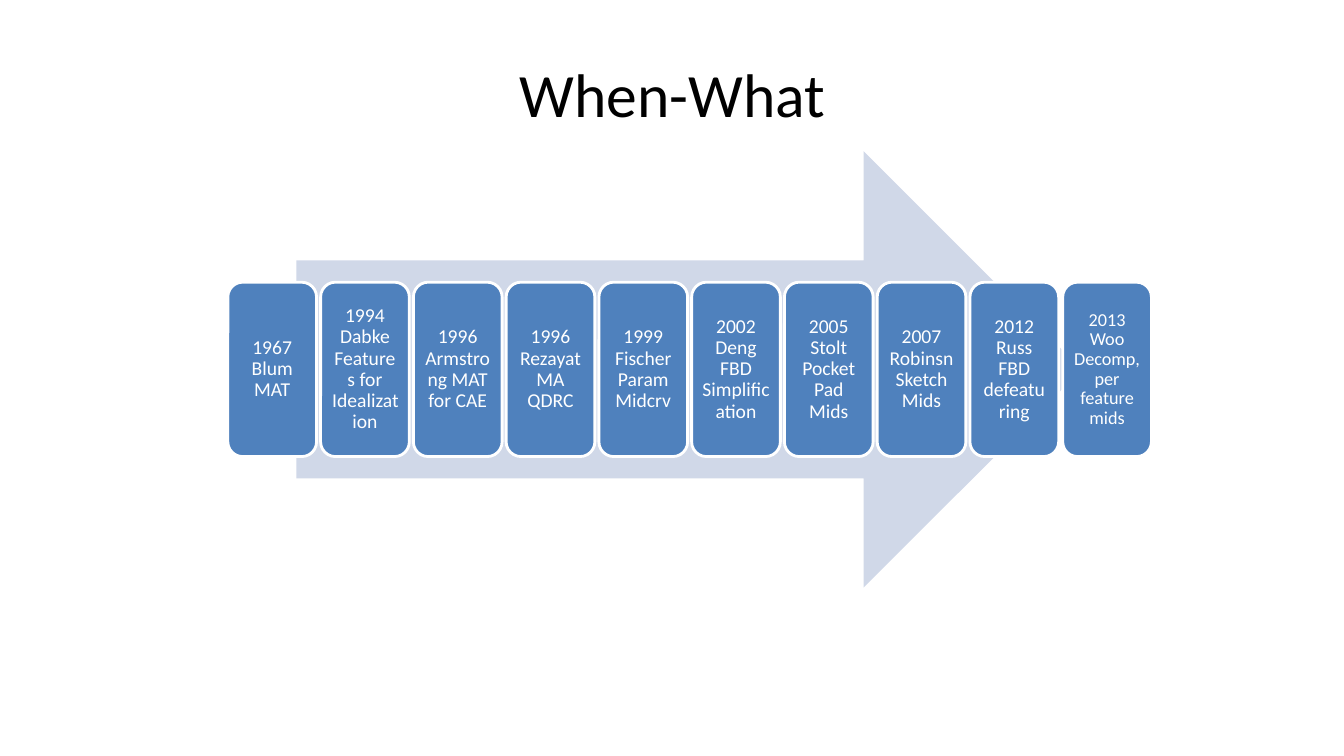
import pptx
import pptx.dml.color
import pptx.enum.shapes
import pptx.enum.text
import pptx.util

Inches = pptx.util.Inches
Pt = pptx.util.Pt
Shapes = pptx.enum.shapes.MSO_SHAPE

FONT = "Calibri"
CARD_LEFT, CARD_TOP = 2.26, 2.8
CARD_WIDTH, CARD_HEIGHT = 0.88, 1.73
CARD_STEP = 0.92
MILESTONES = [
    ("1967 Blum MAT", 14, 0.06),
    ("1994 Dabke Features for Idealization", 14, 0.06),
    ("1996 Armstrong MAT for CAE", 14, 0.06),
    ("1996 Rezayat MA QDRC", 14, 0.06),
    ("1999 Fischer Param Midcrv", 14, 0.06),
    ("2002 Deng FBD Simplification", 14, 0.06),
    ("2005 Stolt Pocket Pad Mids", 14, 0.06),
    ("2007 Robinsn Sketch Mids", 14, 0.06),
    ("2012 Russ FBD defeaturing", 14, 0.06),
    ("2013 Woo Decomp, per feature mids", 13, 0.05),
]


def set_color(color_format, value):
    color_format.rgb = pptx.dml.color.RGBColor.from_string(value)


def write_text(shape, text, size, color):
    frame = shape.text_frame
    frame.word_wrap = True
    frame.auto_size = pptx.enum.text.MSO_AUTO_SIZE.NONE
    frame.vertical_anchor = pptx.enum.text.MSO_ANCHOR.MIDDLE
    para = frame.paragraphs[0]
    para.text = text
    para.alignment = pptx.enum.text.PP_ALIGN.CENTER
    para.font.name = FONT
    para.font.size = Pt(size)
    set_color(para.font.color, color)
    return frame


def add_title(slide, text):
    title = slide.shapes.title
    title.left, title.top = Inches(0.67), Inches(0.3)
    title.width, title.height = Inches(12), Inches(1.25)
    write_text(title, text, 44, "000000")


def add_filled_shape(slide, kind, left, top, width, height, fill):
    shape = slide.shapes.add_shape(
        kind, Inches(left), Inches(top), Inches(width), Inches(height)
    )
    shape.shadow.inherit = False
    shape.fill.solid()
    set_color(shape.fill.fore_color, fill)
    shape.line.fill.background()
    return shape


def add_card(slide, left, text, size, inset):
    card = add_filled_shape(
        slide, Shapes.ROUNDED_RECTANGLE, left, CARD_TOP, CARD_WIDTH, CARD_HEIGHT, "4F81BD"
    )
    card.line.fill.solid()
    set_color(card.line.color, "FFFFFF")
    card.line.width = Pt(2)
    frame = write_text(card, text, size, "FFFFFF")
    frame.margin_left = frame.margin_right = Inches(inset)
    frame.margin_top = frame.margin_bottom = Inches(inset)
    frame.paragraphs[0].line_spacing = 0.9


def main():
    deck = pptx.Presentation()
    deck.slide_width, deck.slide_height = Inches(13.33), Inches(7.5)
    slide = deck.slides.add_slide(deck.slide_layouts.get_by_name("Title Only"))
    add_title(slide, "When-What")
    add_filled_shape(slide, Shapes.RIGHT_ARROW, 2.94, 1.5, 7.79, 4.33, "D0D8E8")
    for index, (text, size, inset) in enumerate(MILESTONES):
        add_card(slide, CARD_LEFT + index * CARD_STEP, text, size, inset)
    deck.save("out.pptx")


if __name__ == "__main__":
    main()
